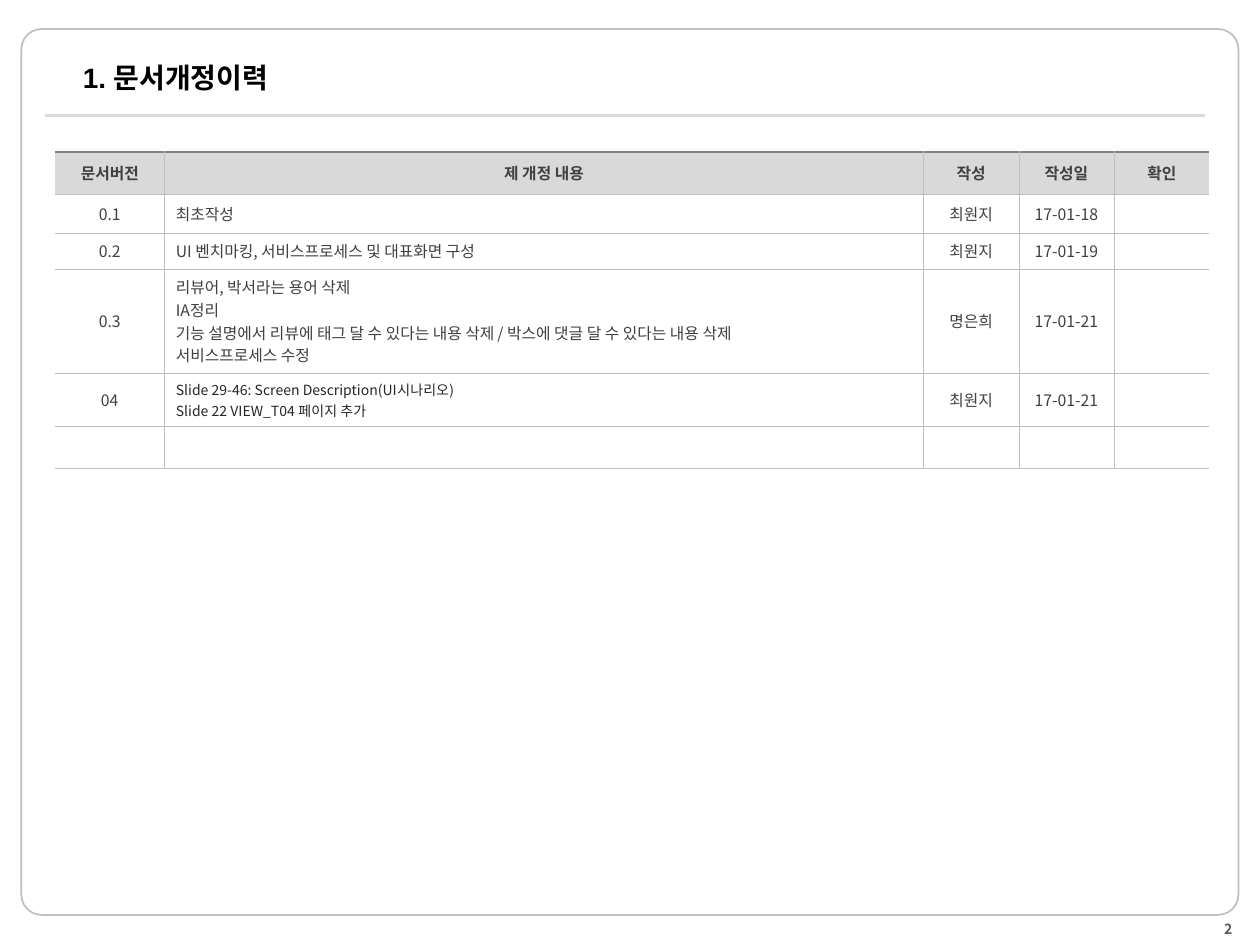
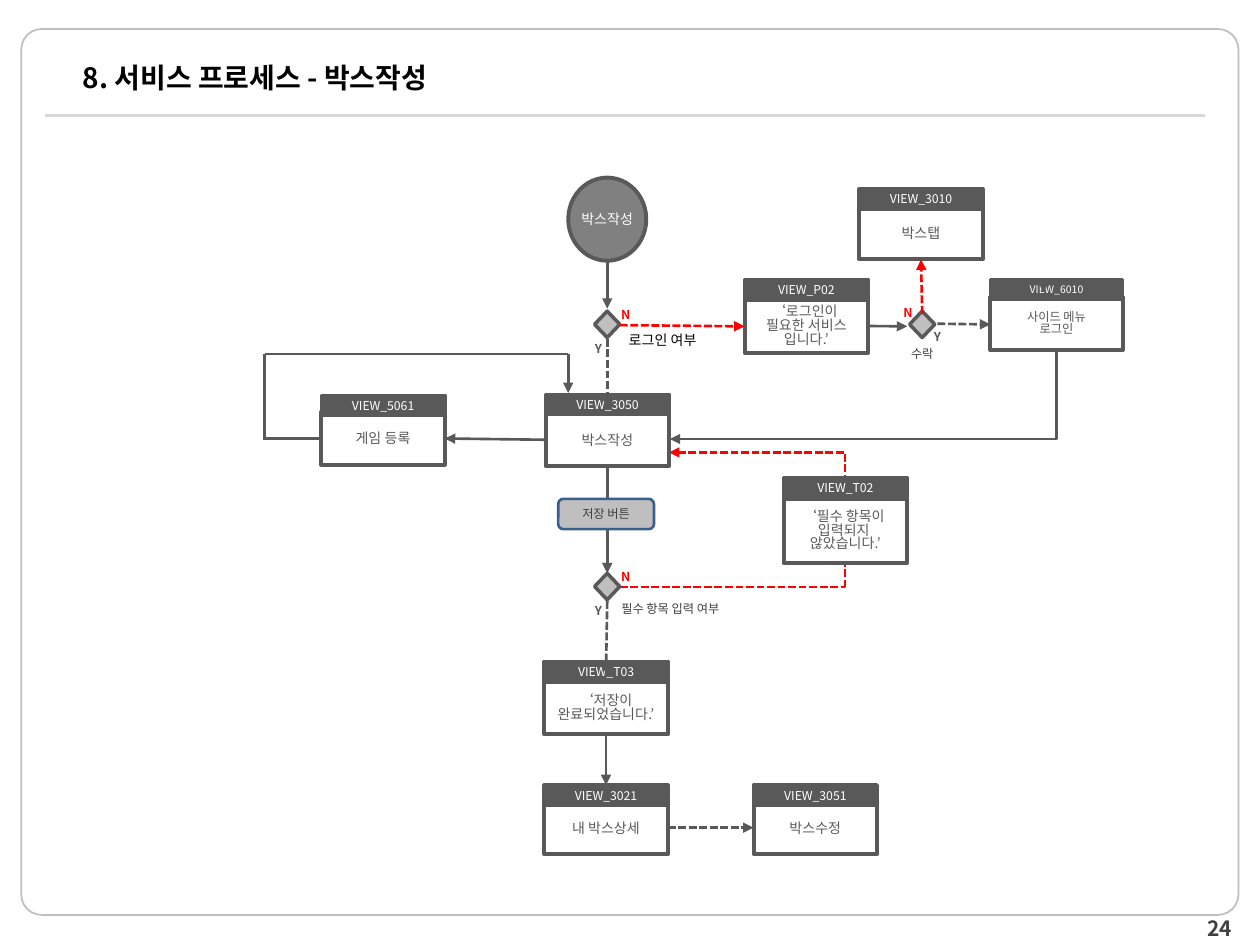
"""Build the revision history slide and the box-writing service flow slide."""
from lxml import etree
from pptx import Presentation
from pptx.dml.color import RGBColor
from pptx.enum import dml, shapes, text
from pptx.oxml import ns
from pptx.util import Pt

FONT = "Noto Sans CJK KR"
BLACK = RGBColor(0, 0, 0)
WHITE = RGBColor(255, 255, 255)
DARK = RGBColor(0x59, 0x59, 0x59)
BODY = RGBColor(0x40, 0x40, 0x40)
NOTE = RGBColor(0x26, 0x26, 0x26)
MID = RGBColor(0x80, 0x80, 0x80)
SILVER = RGBColor(0xBF, 0xBF, 0xBF)
PALE = RGBColor(0xD9, 0xD9, 0xD9)
RED = RGBColor(255, 0, 0)
BLUE = RGBColor(0x3A, 0x5F, 0x8C)

LEFT, CENTER, RIGHT = text.PP_ALIGN.LEFT, text.PP_ALIGN.CENTER, text.PP_ALIGN.RIGHT
TOP, MIDDLE = text.MSO_ANCHOR.TOP, text.MSO_ANCHOR.MIDDLE
SHAPE = shapes.MSO_SHAPE

HISTORY = [
    ("문서버전", ["제 개정 내용"], "작성", "작성일", "확인"),
    ("0.1", ["최초작성"], "최원지", "17-01-18", ""),
    ("0.2", ["UI 벤치마킹, 서비스프로세스 및 대표화면 구성"], "최원지", "17-01-19", ""),
    ("0.3", ["리뷰어, 박서라는 용어 삭제\nIA정리\n"
             "기능 설명에서 리뷰에 태그 달 수 있다는 내용 삭제 / 박스에 댓글 달 수 있다는 내용 삭제\n"
             "서비스프로세스 수정"], "명은희", "17-01-21", ""),
    ("04", ["Slide 29-46: Screen Description(UI시나리오)", "Slide 22 VIEW_T04 페이지 추가"],
     "최원지", "17-01-21", ""),
    ("", [""], "", "", ""),
]
COLUMNS = [62.6, 433.7, 54.5, 54.5, 54.5]
ROWS = [23.7, 22.3, 20.6, 59.6, 30.2, 24]

# name, text, left, header top, body top, width, body height, body size, header size
VIEWS = [
    ("VIEW_3050", "박스작성", 311.8, 225.4, 236.2, 70.6, 30.2, 8, 7),
    ("VIEW_5061", "게임 등록", 183.6, 226.1, 235.4, 70.6, 30.2, 8, 7),
    ("VIEW_T03", "‘저장이 완료되었습니다.’", 311, 378, 389.5, 70.6, 30.2, 8, 7),
    ("VIEW_3021", "내 박스상세", 311, 448.6, 457.9, 70.6, 30.2, 8, 7),
    ("VIEW_T02", "‘필수 항목이 \n입력되지 \n않았습니다.’", 447.8, 272.9, 285.1, 70.6, 36.7, 8, 7),
    ("VIEW_3051", "박스수정", 430.6, 448.6, 457.9, 70.6, 30.2, 8, 7),
    ("VIEW_P02", "‘로그인이 \n필요한 서비스 입니다.’", 425.5, 159.8, 171.4, 70.6, 30.2, 8, 7),
    ("VIEW_3010", "박스탭", 491, 108, 118.1, 70.6, 30.2, 8, 7),
    ("VIEW_6010", "사이드 메뉴\n로그인", 565.9, 159.8, 169.9, 75.6, 30.2, 7, 6),
]
MULTILINE = {"VIEW_T03", "VIEW_T02", "VIEW_P02", "VIEW_6010"}
DECISIONS = [(339.8, 177.8), (339.8, 327.6), (519.8, 177.8)]

# start, end, colour, dashed, arrow
LINES_BEHIND = [
    ((347, 265.7), (347, 327.6), DARK, False, True),
    ((354.2, 335.5), (482.4, 335.5), RED, True, False),
]
LINES_IN_FRONT = [
    ((347, 149), (347, 176.4), DARK, False, True),
    ((311.8, 251.3), (254.2, 250.6), DARK, False, True),
    ((347, 343.4), (346.3, 385.2), DARK, True, True),
    ((354.2, 185.8), (425.5, 186.5), RED, True, True),
    ((347, 193.7), (347, 233.3), DARK, True, True),
    ((346.3, 419.8), (346.3, 448.6), DARK, False, True),
    ((183.6, 250.6), (151.2, 250.6), DARK, False, False),
    ((151.2, 251.3), (151.2, 202.3), DARK, False, False),
    ((151.2, 202.3), (324.7, 202.3), DARK, False, False),
    ((324.7, 202.3), (324.7, 224.6), DARK, False, True),
    ((381.6, 473), (430.6, 473), DARK, True, True),
    ((535.7, 185), (565.9, 185.4), DARK, True, True),
    ((496.8, 186.3), (518.4, 186.5), DARK, False, True),
    ((527, 179.3), (526.3, 148.3), RED, True, True),
    ((596.2, 164.9), (596.2, 167), DARK, False, True),
]
# text, left, top, width, size, colour, bold, alignment
LABELS = [
    ("로그인 여부", 352.8, 186.5, 55.4, 8, BLACK, False, LEFT),
    ("N", 347.8, 172.5, 19.4, 7, RED, True, CENTER),
    ("Y", 332.6, 191.9, 18.7, 7, DARK, True, CENTER),
    ("N", 347.8, 322.2, 19.4, 7, RED, True, CENTER),
    ("Y", 332.6, 341.7, 18.7, 7, DARK, True, CENTER),
    ("필수 항목 입력 여부", 344.9, 340.6, 76.3, 7, BODY, False, CENTER),
    ("N", 509.8, 171.4, 17.3, 7, RED, True, CENTER),
    ("Y", 527, 185, 17.3, 7, DARK, True, CENTER),
    ("수락", 514.1, 195.1, 25.9, 7, BODY, False, CENTER),
]


def sub(parent, tag, **attrs):
    return etree.SubElement(parent, ns.qn(tag), **attrs)


def add_text(p, content, size, color, bold=False, align=LEFT, spacing=None, font=FONT):
    p.alignment = align
    if spacing:
        p.line_spacing = spacing
    for i, line in enumerate(content.split("\n")):
        if i:
            p.add_line_break()
        r = p.add_run()
        r.text = line
        r.font.size, r.font.bold, r.font.name = Pt(size), bold, font
        r.font.color.rgb = color
        sub(r._r.get_or_add_rPr(), "a:ea", typeface=FONT)


def set_frame(tf, anchor=MIDDLE, wrap=True, inset=(6.5, 3)):
    tf.word_wrap, tf.vertical_anchor = wrap, anchor
    tf.margin_left = tf.margin_right = Pt(inset[0])
    tf.margin_top = tf.margin_bottom = Pt(inset[1])


def add_box(s, kind, at, fill, line, weight):
    sp = s.shapes.add_shape(kind, *map(Pt, at))
    sp.shadow.inherit = False
    if fill is None:
        sp.fill.background()
    else:
        sp.fill.solid()
        sp.fill.fore_color.rgb = fill
    sp.line.color.rgb, sp.line.width = line, Pt(weight)
    return sp


def add_textbox(s, at, content, size, color, bold, align, anchor=MIDDLE, wrap=True,
                inset=(6.5, 3), font=FONT):
    sp = s.shapes.add_textbox(*map(Pt, at))
    set_frame(sp.text_frame, anchor, wrap, inset)
    if not wrap:
        sp.text_frame.auto_size = text.MSO_AUTO_SIZE.SHAPE_TO_FIT_TEXT
    add_text(sp.text_frame.paragraphs[0], content, size, color, bold, align, font=font)


def add_line(s, start, end, color, dashed=False, arrow=False, kind=shapes.MSO_CONNECTOR.STRAIGHT):
    c = s.shapes.add_connector(kind, *map(Pt, start + end))
    c.line.color.rgb, c.line.width = color, Pt(1.5)
    if dashed:
        c.line.dash_style = dml.MSO_LINE.SQUARE_DOT
    if arrow:
        sub(c.line._get_or_add_ln(), "a:tailEnd", type="triangle")
    sub(c._element.spPr, "a:effectLst")
    return c


def add_bend(s, start, end, color, dashed, preset, degrees, adjust=None):
    c = add_line(s, start, end, color, dashed, True, shapes.MSO_CONNECTOR.ELBOW)
    c._element.spPr.find(ns.qn("a:xfrm")).set("rot", str(degrees * 60000))
    geom = c._element.spPr.find(ns.qn("a:prstGeom"))
    geom.set("prst", preset)
    if adjust is not None:
        sub(geom.find(ns.qn("a:avLst")), "a:gd", name="adj1", fmla=f"val {adjust}")


def add_page(prs, title, number, number_size, number_color, title_font=FONT):
    s = prs.slides.add_slide(prs.slide_layouts[6])
    frame = add_box(s, SHAPE.ROUNDED_RECTANGLE, (12.2, 16.6, 695.5, 506.2), None, SILVER, 1)
    frame.adjustments[0] = 0.023
    add_line(s, (25.5, 66), (688.8, 66), PALE)
    add_textbox(s, (542.9, 524.9, 167.8, 11.5), number, number_size, number_color, True, RIGHT)
    add_textbox(s, (40.3, 13, 638.6, 61.9), title, 16, BLACK, True, LEFT,
                inset=(7.2, 3.6), font=title_font)
    return s


def set_borders(cell, row, col):
    tc_pr = cell._tc.get_or_add_tcPr()
    for side in "LRTB":
        outer = (side == "L" and col == 0) or (side == "R" and col == len(COLUMNS) - 1)
        heavy = side == "T" and row == 0
        ln = sub(tc_pr, f"a:ln{side}", w=str(Pt(1.5 if heavy else 0.25)))
        if outer:
            sub(ln, "a:noFill")
        else:
            sub(sub(ln, "a:solidFill"), "a:srgbClr", val=str(MID if heavy else SILVER))


def fill_cell(cell, content, row, col):
    header, described = row == 0, col == 1
    set_borders(cell, row, col)
    if header:
        cell.fill.solid()
        cell.fill.fore_color.rgb = PALE
    else:
        cell.fill.background()
    cell.vertical_anchor = MIDDLE
    cell.margin_left = cell.margin_right = Pt(6.5)
    cell.margin_top = cell.margin_bottom = Pt(3.6)
    lines = content if described else [content]
    size, color = (8, NOTE) if len(lines) > 1 else (9, BODY)
    align = LEFT if described and not header else CENTER
    for i, line in enumerate(lines):
        p = cell.text_frame.add_paragraph() if i else cell.text_frame.paragraphs[0]
        if line:
            add_text(p, line, size, color, header, align)
        else:
            sub(p._p, "a:endParaRPr", sz="900")


def build_history(prs):
    s = add_page(prs, "1. 문서개정이력", "2", 8, DARK, "Arial")
    table = s.shapes.add_table(len(ROWS), len(COLUMNS), Pt(31.4), Pt(87),
                               Pt(sum(COLUMNS)), Pt(sum(ROWS))).table
    table.first_row = table.horz_banding = False
    for column, width in zip(table.columns, COLUMNS):
        column.width = Pt(width)
    for i, (height, record) in enumerate(zip(ROWS, HISTORY)):
        table.rows[i].height = Pt(height)
        for j, content in enumerate(record):
            fill_cell(table.cell(i, j), content, i, j)


def add_caption(sp, content, size, color, spacing=None, wrap=True):
    set_frame(sp.text_frame, wrap=wrap)
    add_text(sp.text_frame.paragraphs[0], content, size, color, align=CENTER, spacing=spacing)


def build_flow(prs):
    s = add_page(prs, "8. 서비스 프로세스 - 박스작성", "24", 12, BODY)
    start = add_box(s, SHAPE.OVAL, (324.7, 101.5, 44.6, 47.5), MID, DARK, 2.25)
    add_caption(start, "박스작성", 8, WHITE, wrap=False)
    for line in LINES_BEHIND:
        add_line(s, *line)
    add_bend(s, (468, 115.2), (518.4, 336.2), DARK, False, "bentConnector2", 90)
    add_bend(s, (382.3, 258.5), (482.4, 335.5), RED, True, "bentConnector3", 180, -400)
    for name, body, left, head_top, top, width, height, size, head_size in VIEWS:
        sp = add_box(s, SHAPE.RECTANGLE, (left, top, width, height), WHITE, DARK, 2.25)
        add_caption(sp, body, size, DARK, 0.82 if name in MULTILINE else None)
        sp = add_box(s, SHAPE.RECTANGLE, (left, head_top, width, 11.5), DARK, DARK, 2)
        add_caption(sp, name, head_size, WHITE)
    save = add_box(s, SHAPE.ROUNDED_RECTANGLE, (319, 285.1, 54.7, 17.3), SILVER, BLUE, 1.5)
    add_caption(save, "저장 버튼", 7, BODY)
    for left, top in DECISIONS:
        add_box(s, SHAPE.FLOWCHART_DECISION, (left, top, 14.4, 15.1), SILVER, DARK, 2)
    for line in LINES_IN_FRONT:
        add_line(s, *line)
    for content, left, top, width, size, color, bold, align in LABELS:
        add_textbox(s, (left, top, width, 15.1), content, size, color, bold, align, TOP, False)


def main():
    prs = Presentation()
    prs.slide_width, prs.slide_height = Pt(720), Pt(540)
    build_history(prs)
    build_flow(prs)
    prs.save("out.pptx")


if __name__ == "__main__":
    main()
